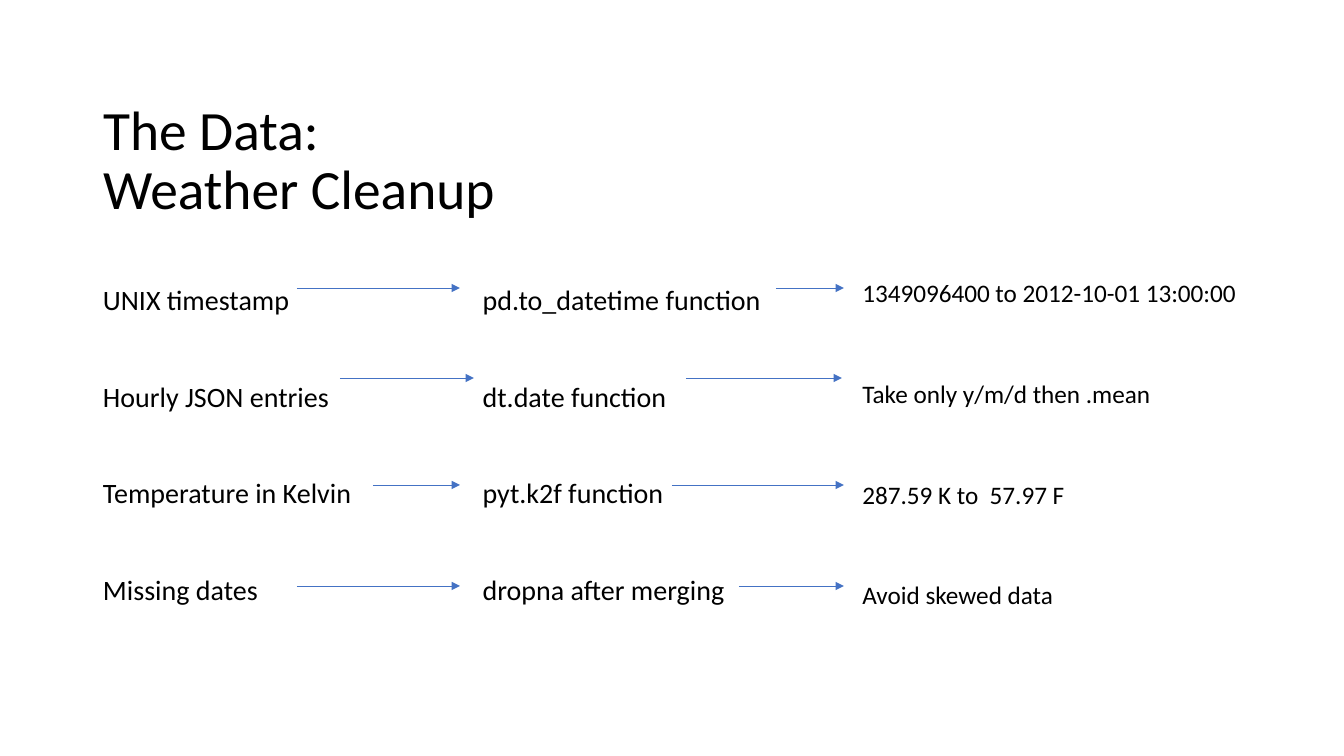
from dataclasses import dataclass

from lxml import etree
from pptx import Presentation, util as u
from pptx.dml.color import RGBColor
from pptx.enum import shapes, text
from pptx.oxml import ns

EMU_PER_PX = 914400 / 100.8


@dataclass(frozen=True)
class Theme:
    """Colours, font and type sizes of the slide."""
    font: str = "Calibri"
    ink: str = "000000"
    arrow: str = "4472C4"
    title: float = 39.6
    step: float = 20
    result: float = 18
    arrow_width: float = 0.5


THEME = Theme()

STEPS = [
    ["UNIX timestamp", "Hourly JSON entries", "Temperature in Kelvin", "Missing dates"],
    ["pd.to_datetime function", "dt.date function", "pyt.k2f function", "dropna after merging"],
]
RESULTS = ["1349096400 to 2012-10-01 13:00:00", "Take only y/m/d then .mean",
           "287.59 K to  57.97 F", "Avoid skewed data"]

ARROW_ROWS = {
    288: [(297, 460), (776, 844)],
    378: [(340, 474), (686, 842)],
    485: [(373, 460), (672, 844)],
    586: [(297, 460), (739, 844)],
}


def px(n):
    """Turn pixels into EMU."""
    return u.Emu(round(n * EMU_PER_PX))


def write(p, words, size, line_spacing, before=0):
    """Write one left-aligned paragraph."""
    p.alignment = text.PP_ALIGN.LEFT
    p.line_spacing = line_spacing
    p.space_before = u.Pt(before)
    r = p.add_run()
    r.text = words
    r.font.name = THEME.font
    r.font.size = u.Pt(size)
    r.font.color.rgb = RGBColor.from_string(THEME.ink)


def set_title(s, words, x, y, w, h):
    """Move and fill the title placeholder."""
    sp = s.shapes.title
    sp.left, sp.top, sp.width, sp.height = map(px, (x, y, w, h))
    tf = sp.text_frame
    tf.word_wrap = True
    tf.auto_size = text.MSO_AUTO_SIZE.NONE
    tf.vertical_anchor = text.MSO_ANCHOR.BOTTOM
    write(tf.paragraphs[0], words, THEME.title, 0.9)


def add_columns(s, items, count, x, y, w, h):
    """Add a text box that flows (words, size, space before) items in columns."""
    tf = s.shapes.add_textbox(*map(px, (x, y, w, h))).text_frame
    tf.word_wrap = True
    tf.auto_size = text.MSO_AUTO_SIZE.NONE
    body = tf._txBody.find(ns.qn("a:bodyPr"))
    body.set("numCol", str(count))
    body.set("spcCol", "0")
    for i, (words, size, before) in enumerate(items):
        p = tf.add_paragraph() if i else tf.paragraphs[0]
        write(p, words, size, 2.5, before)


def add_arrow(s, x1, x2, y):
    """Add a thin horizontal arrow."""
    c = s.shapes.add_connector(shapes.MSO_CONNECTOR.STRAIGHT, px(x1), px(y), px(x2), px(y))
    c.line.color.rgb = RGBColor.from_string(THEME.arrow)
    c.line.width = u.Pt(THEME.arrow_width)
    etree.SubElement(c.line._get_or_add_ln(), ns.qn("a:tailEnd"), type="triangle")
    etree.SubElement(c._element.spPr, ns.qn("a:effectLst"))


def main():
    """Build the weather cleanup slide."""
    prs = Presentation()
    prs.slide_width, prs.slide_height = px(1344), px(756)
    s = prs.slides.add_slide(prs.slide_layouts[5])
    set_title(s, "The Data: Weather Cleanup", 93, 50, 433, 177)
    items = [(words, THEME.step, 9) for column in STEPS for words in column]
    items += [(words, THEME.result, 18) for words in RESULTS]
    add_columns(s, items, 3, 93, 227, 1159, 420)
    for y, spans in ARROW_ROWS.items():
        for x1, x2 in spans:
            add_arrow(s, x1, x2, y)
    prs.save("out.pptx")


if __name__ == "__main__":
    main()
